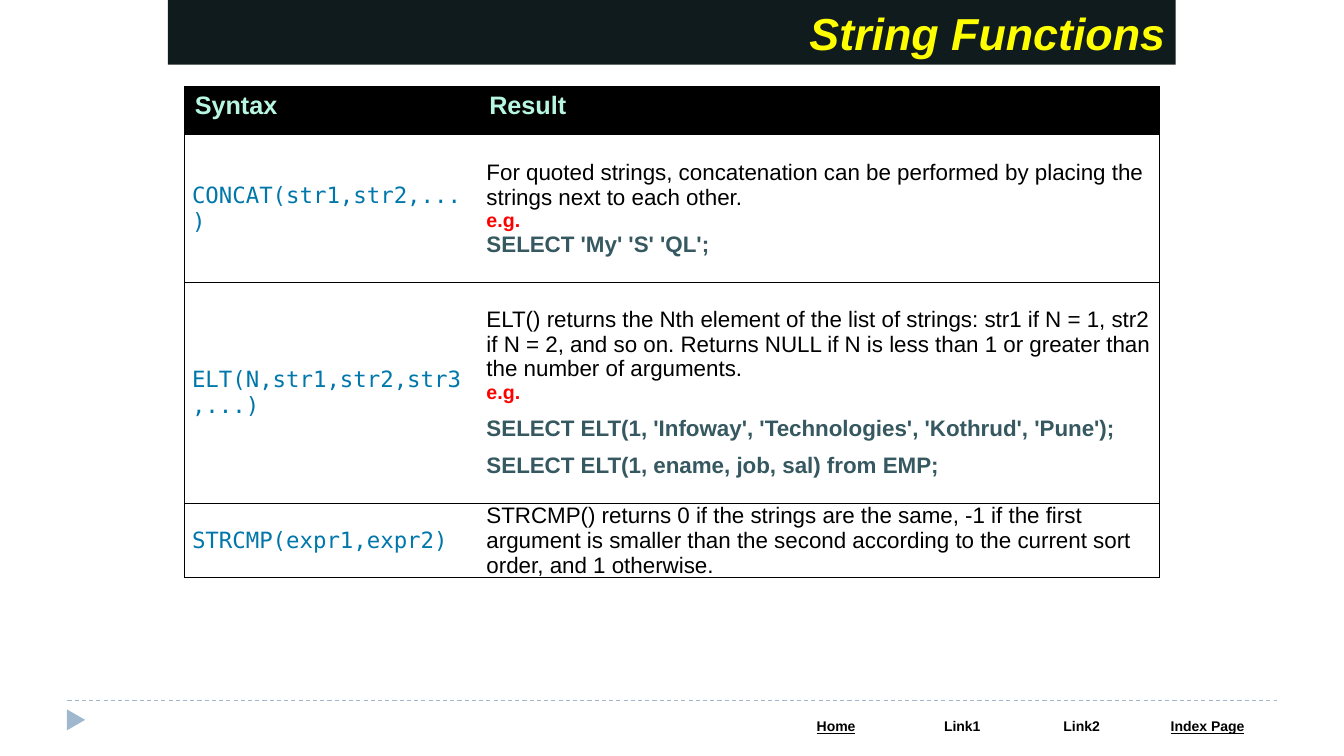
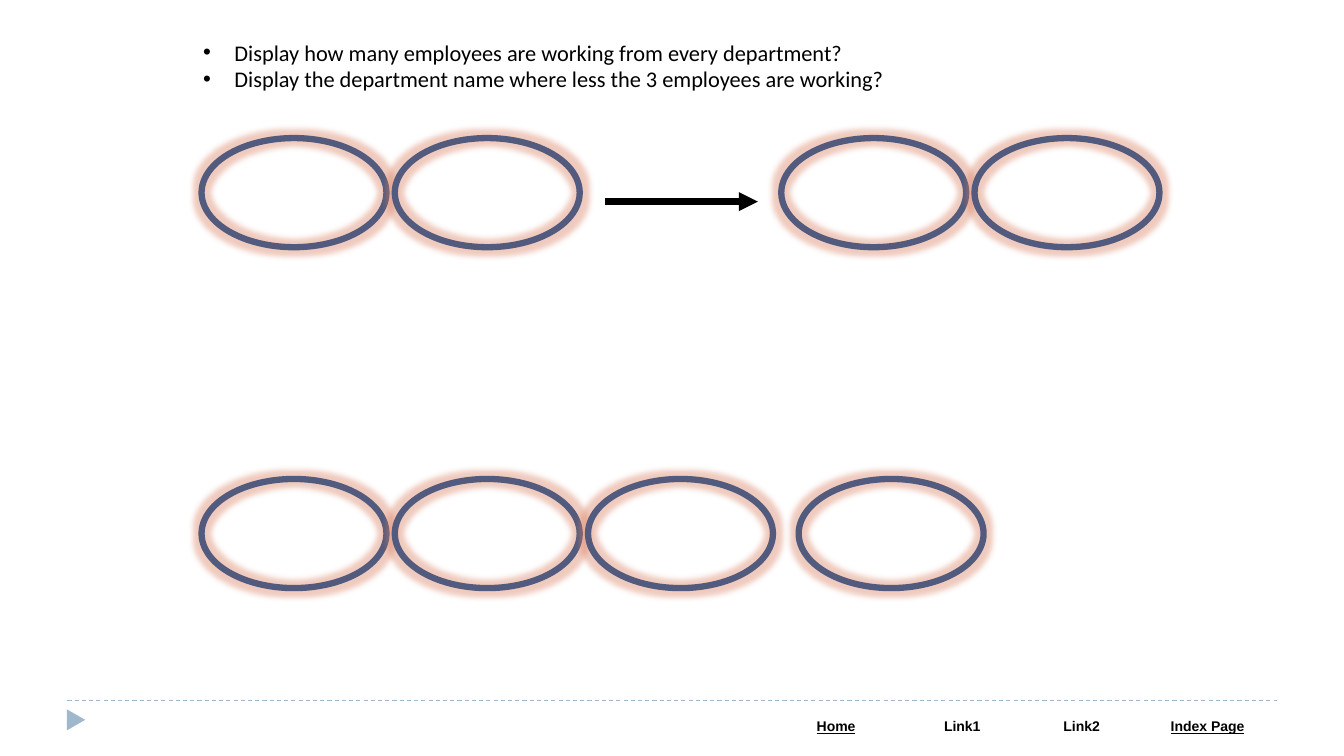
"""Build two course slides: a table of string functions and an ellipse diagram."""
from dataclasses import dataclass
from typing import Optional

import lxml.etree
import pptx
import pptx.dml.color
import pptx.enum.dml
import pptx.enum.shapes
import pptx.enum.text
import pptx.oxml.ns
import pptx.util

Cm = pptx.util.Cm
Pt = pptx.util.Pt
RGBColor = pptx.dml.color.RGBColor
Align = pptx.enum.text.PP_ALIGN
Anchor = pptx.enum.text.MSO_ANCHOR
Preset = pptx.enum.shapes.MSO_SHAPE
qn = pptx.oxml.ns.qn

BLACK = RGBColor(0x00, 0x00, 0x00)
WHITE = RGBColor(0xFF, 0xFF, 0xFF)
RED = RGBColor(0xFF, 0x00, 0x00)
YELLOW = RGBColor(0xFF, 0xFF, 0x00)
BAND = RGBColor(0x10, 0x1B, 0x1D)
FOOTER_BLUE = RGBColor(0x9F, 0xB8, 0xCD)
MINT = RGBColor(0xB7, 0xF7, 0xE2)
CODE_BLUE = RGBColor(0x00, 0x77, 0xAA)
QUERY_TEAL = RGBColor(0x36, 0x58, 0x60)
OUTLINE = RGBColor(0x52, 0x5B, 0x7E)
GLOW = RGBColor(0xDA, 0x7C, 0x5C)


@dataclass(frozen=True)
class TextStyle:
    """Character formatting of a run."""
    size: float
    color: RGBColor = BLACK
    font: str = "Arial"
    bold: bool = False
    italic: bool = False
    underline: bool = False


@dataclass(frozen=True)
class TextLine:
    """One paragraph of text."""
    text: str
    style: TextStyle
    align: Align = Align.LEFT
    spacing: Optional[float] = None
    bullet: bool = False


@dataclass(frozen=True)
class CellStyle:
    """Fill, anchor and margins of a table cell."""
    fill: Optional[RGBColor]
    anchor: Anchor
    side_margin: float
    end_margin: float


@dataclass(frozen=True)
class FunctionRow:
    """A documented function and its explanation."""
    height: float
    syntax: str
    result: tuple[TextLine, ...]


@dataclass(frozen=True)
class EllipseRow:
    """Ellipses at one height, placed by column number."""
    top: float
    columns: tuple[float, ...]


@dataclass(frozen=True)
class FooterLink:
    """A label in the footer."""
    text: str
    width: float
    underline: bool


TITLE = TextStyle(32, YELLOW, bold=True, italic=True)
HEADING = TextStyle(18, MINT, bold=True)
CODE = TextStyle(16, CODE_BLUE, "DejaVu Sans Mono")
BODY = TextStyle(16)
QUERY = TextStyle(16, QUERY_TEAL, bold=True)
QUESTION = TextStyle(16, font="Calibri")
EXAMPLE = TextLine("e.g.", TextStyle(14, RED, bold=True))

HEADER_CELL = CellStyle(BLACK, Anchor.TOP, 0.25, 0.13)
BODY_CELL = CellStyle(None, Anchor.MIDDLE, 0.18, 0)
FOOTER_CELL = CellStyle(WHITE, Anchor.TOP, 0.33, 0.13)

FOOTER_LINKS = (
    FooterLink("Home", 3.18, True),
    FooterLink("Link1", 3.18, False),
    FooterLink("Link2", 2.84, False),
    FooterLink("Index Page", 3.5, True),
)
HEADINGS = ("Syntax", "Result")
HEADER_HEIGHT = 1.22
COLUMN_WIDTHS = (7.42, 17.14)
FUNCTIONS = (
    FunctionRow(3.71, "CONCAT(str1,str2,...)", (
        TextLine("For quoted strings, concatenation can be performed by placing "
                 "the strings next to each other.", BODY),
        EXAMPLE,
        TextLine("SELECT 'My' 'S' 'QL';", QUERY),
    )),
    FunctionRow(5.57, "ELT(N,str1,str2,str3,...)", (
        TextLine("ELT() returns the Nth element of the list of strings: str1 if N = 1, "
                 "str2 if N = 2, and so on. Returns NULL if N is less than 1 or greater "
                 "than the number of arguments.", BODY),
        EXAMPLE,
        TextLine("SELECT ELT(1, 'Infoway', 'Technologies', 'Kothrud', 'Pune');",
                 QUERY, spacing=1.5),
        TextLine("SELECT ELT(1, ename, job, sal) from EMP;", QUERY, spacing=1.5),
    )),
    FunctionRow(1.86, "STRCMP(expr1,expr2)", (
        TextLine("STRCMP() returns 0 if the strings are the same, -1 if the first argument "
                 "is smaller than the second according to the current sort order, "
                 "and 1 otherwise.", BODY),
    )),
)
QUESTIONS = (
    "Display how many employees are working from every department?",
    "Display the department name where less the 3 employees are working?",
)
ELLIPSE_LEFT, ELLIPSE_PITCH = 5.08, 4.87
ELLIPSE_WIDTH, ELLIPSE_HEIGHT = 4.66, 2.75
ELLIPSE_ROWS = (EllipseRow(3.48, (0, 1, 3, 4)), EllipseRow(12.07, (0, 1, 2, 3.09)))


def add_element(parent, tag: str, **attributes: str):
    """Append a drawing element to parent and return it."""
    return lxml.etree.SubElement(parent, qn(tag), attributes)


def write_lines(frame, lines: tuple[TextLine, ...]) -> None:
    """Write one paragraph with one run for each line."""
    for index, line in enumerate(lines):
        paragraph = frame.add_paragraph() if index else frame.paragraphs[0]
        if line.bullet:
            properties = paragraph._p.get_or_add_pPr()
            indent = Cm(0.79)
            properties.set("marL", str(indent))
            properties.set("indent", str(-indent))
            add_element(properties, "a:buFont", typeface="Arial")
            add_element(properties, "a:buChar", char="•")
        paragraph.alignment = line.align
        if line.spacing:
            paragraph.line_spacing = line.spacing
        run = paragraph.add_run()
        run.text = line.text
        font = run.font
        font.name, font.size = line.style.font, Pt(line.style.size)
        font.bold, font.italic = line.style.bold, line.style.italic
        font.underline = line.style.underline
        font.color.rgb = line.style.color


def fill_cell(cell, style: CellStyle, lines: tuple[TextLine, ...], borders: str = "") -> None:
    """Format a cell, draw the named borders (L, R, T, B) and write its text."""
    properties = cell._tc.get_or_add_tcPr()
    for side in "LRTB":
        border = add_element(properties, f"a:ln{side}", w=str(Pt(0.75)))
        if side in borders:
            solid = add_element(border, "a:solidFill")
            add_element(solid, "a:srgbClr", val=str(BLACK))
        else:
            add_element(border, "a:noFill")
    if style.fill is None:
        cell.fill.background()
    else:
        cell.fill.solid()
        cell.fill.fore_color.rgb = style.fill
    cell.vertical_anchor = style.anchor
    cell.margin_left = cell.margin_right = Cm(style.side_margin)
    cell.margin_top = cell.margin_bottom = Cm(style.end_margin)
    write_lines(cell.text_frame, lines)


def add_plain_table(slide, left: float, top: float,
                    widths: tuple[float, ...], heights: tuple[float, ...]):
    """Add a table without banding, sized from its columns and rows."""
    table = slide.shapes.add_table(len(heights), len(widths), Cm(left), Cm(top),
                                   Cm(sum(widths)), Cm(sum(heights))).table
    table.first_row = table.horz_banding = False
    for column, width in zip(table.columns, widths):
        column.width = Cm(width)
    for row, height in zip(table.rows, heights):
        row.height = Cm(height)
    return table


def add_filled_shape(slide, preset: Preset, left: float, top: float,
                     width: float, height: float, color: Optional[RGBColor]):
    """Add a preset shape without outline or shadow."""
    shape = slide.shapes.add_shape(preset, Cm(left), Cm(top), Cm(width), Cm(height))
    shape.shadow.inherit = False
    shape.line.fill.background()
    if color is None:
        shape.fill.background()
    else:
        shape.fill.solid()
        shape.fill.fore_color.rgb = color
    return shape


def add_horizontal_line(slide, start: float, end: float, top: float,
                        color: RGBColor, width: float):
    """Add a horizontal connector without shadow."""
    connector = slide.shapes.add_connector(pptx.enum.shapes.MSO_CONNECTOR.STRAIGHT,
                                           Cm(start), Cm(top), Cm(end), Cm(top))
    connector.line.color.rgb = color
    connector.line.width = Pt(width)
    add_element(connector._element.spPr, "a:effectLst")
    return connector


def add_footer(slide) -> None:
    """Draw the marker, dashed rule and link labels."""
    marker = add_filled_shape(slide, Preset.ISOSCELES_TRIANGLE,
                              1.65, 17.91, 0.53, 0.46, FOOTER_BLUE)
    marker.rotation = 90
    rule = add_horizontal_line(slide, 1.7, 32.18, 17.65, FOOTER_BLUE, 0.75)
    rule.line.dash_style = pptx.enum.dml.MSO_LINE.DASH
    widths = tuple(link.width for link in FOOTER_LINKS)
    table = add_plain_table(slide, 19.48, 17.98, widths, (0.69,))
    for index, link in enumerate(FOOTER_LINKS):
        style = TextStyle(10, bold=True, underline=link.underline)
        fill_cell(table.cell(0, index), FOOTER_CELL,
                  (TextLine(link.text, style, Align.CENTER),))


def add_slide(presentation):
    """Add a blank slide with the shared footer."""
    slide = presentation.slides.add_slide(presentation.slide_layouts[6])
    add_footer(slide)
    return slide


def build_string_functions(presentation) -> None:
    """Build the slide with the function table."""
    slide = add_slide(presentation)
    heights = (HEADER_HEIGHT, *(function.height for function in FUNCTIONS))
    table = add_plain_table(slide, 4.66, 2.18, COLUMN_WIDTHS, heights)
    for column, heading in enumerate(HEADINGS):
        fill_cell(table.cell(0, column), HEADER_CELL,
                  (TextLine(heading, HEADING),), "LRTB"[column] + "TB")
    for row, function in enumerate(FUNCTIONS, start=1):
        fill_cell(table.cell(row, 0), BODY_CELL, (TextLine(function.syntax, CODE),), "LTB")
        fill_cell(table.cell(row, 1), BODY_CELL, function.result, "RTB")
    band = add_filled_shape(slide, Preset.RECTANGLE, 4.23, 0, 25.4, 1.63, BAND)
    band.text_frame.vertical_anchor = Anchor.MIDDLE
    write_lines(band.text_frame, (TextLine("String Functions", TITLE, Align.RIGHT),))


def add_glowing_ellipse(slide, left: float, top: float) -> None:
    """Add an outlined ellipse with a soft glow."""
    ellipse = add_filled_shape(slide, Preset.OVAL, left, top,
                               ELLIPSE_WIDTH, ELLIPSE_HEIGHT, None)
    ellipse.line.color.rgb = OUTLINE
    ellipse.line.width = Pt(4.5)
    effects = ellipse._element.spPr.find(qn("a:effectLst"))
    glow = add_element(effects, "a:glow", rad=str(Pt(8)))
    color = add_element(glow, "a:srgbClr", val=str(GLOW))
    add_element(color, "a:alpha", val="40000")


def build_questions(presentation) -> None:
    """Build the slide with the questions and ellipses."""
    slide = add_slide(presentation)
    box = slide.shapes.add_textbox(Cm(4.87), Cm(0.85), Cm(24.34), Cm(2.31))
    box.text_frame.word_wrap = True
    write_lines(box.text_frame,
                tuple(TextLine(text, QUESTION, bullet=True) for text in QUESTIONS))
    for row in ELLIPSE_ROWS:
        for column in row.columns:
            add_glowing_ellipse(slide, ELLIPSE_LEFT + column * ELLIPSE_PITCH, row.top)
    arrow = add_horizontal_line(slide, 15.24, 19.1, 5.08, BLACK, 4.5)
    add_element(arrow.line._get_or_add_ln(), "a:tailEnd", type="triangle")


def main() -> None:
    """Build and save the presentation."""
    presentation = pptx.Presentation()
    presentation.slide_width, presentation.slide_height = Cm(33.87), Cm(19.05)
    build_string_functions(presentation)
    build_questions(presentation)
    presentation.save("out.pptx")


if __name__ == "__main__":
    main()
